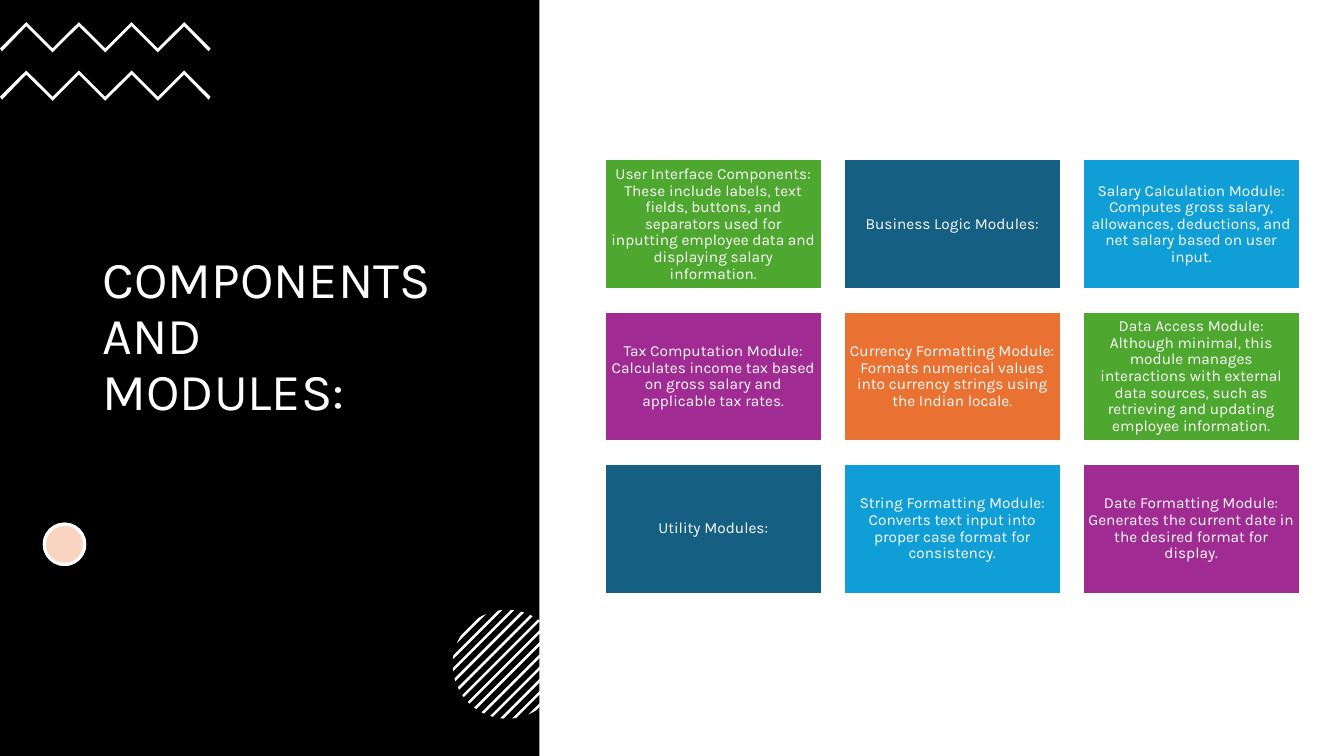
"""Build the components and modules slide."""
from math import acos, cos, pi, sin, sqrt

from lxml.etree import SubElement
from pptx import Presentation
from pptx.dml.color import RGBColor
from pptx.enum.shapes import MSO_SHAPE as SHAPE
from pptx.enum.text import MSO_ANCHOR as ANCHOR, PP_ALIGN as ALIGN
from pptx.oxml.ns import qn
from pptx.util import Inches, Pt

BLACK = RGBColor(0x00, 0x00, 0x00)
WHITE = RGBColor(0xFF, 0xFF, 0xFF)
GREEN = RGBColor(0x4E, 0xA7, 0x2E)
NAVY = RGBColor(0x15, 0x60, 0x82)
BLUE = RGBColor(0x0F, 0x9E, 0xD5)
PURPLE = RGBColor(0xA0, 0x2B, 0x93)
ORANGE = RGBColor(0xE9, 0x71, 0x32)
FONT = "Karla"

prs = Presentation()
prs.slide_width, prs.slide_height = Inches(13.33), Inches(7.5)
s = prs.slides.add_slide(prs.slide_layouts[6])


def add_block(kind, x, y, w, h, fill, line=None):
    sp = s.shapes.add_shape(kind, Inches(x), Inches(y), Inches(w), Inches(h))
    sp.shadow.inherit = False
    sp.fill.solid()
    sp.fill.fore_color.rgb = fill
    if line:
        sp.line.color.rgb = WHITE
        sp.line.width = Pt(line)
    else:
        sp.line.fill.background()
    return sp


def add_outline(points):
    pts = [(Inches(x), Inches(y)) for x, y in points]
    builder = s.shapes.build_freeform(*pts[0])
    builder.add_line_segments(pts[1:], close=True)
    sp = builder.convert_to_shape()
    sp.shadow.inherit = False
    sp.fill.solid()
    sp.fill.fore_color.rgb = WHITE
    sp.line.fill.background()


add_block(SHAPE.RECTANGLE, 0, 0, 5.35, 7.5, BLACK)

title = s.shapes.add_textbox(Inches(0.92), Inches(1.31), Inches(3.5), Inches(4.63))
tf = title.text_frame
tf.word_wrap = True
tf.vertical_anchor = ANCHOR.MIDDLE
tf.margin_bottom = Inches(0.6)
p = tf.paragraphs[0]
p.text = "COMPONENTS AND MODULES:"
p.line_spacing = 0.9
p.font.name, p.font.size = FONT, Pt(37)
p.font.color.rgb = WHITE

for top in (0.22, 0.7):
    upper = [(0.261 * i, top + (0 if i % 2 else 0.26)) for i in range(9)]
    lower = [(x, y + 0.04) for x, y in upper[7:0:-1]]
    add_outline(upper + [(2.07, top + 0.29)] + lower + [(0.02, top + 0.29)])

add_block(SHAPE.OVAL, 0.44, 5.2, 0.4, 0.4, WHITE, 2.25)
dot = add_block(SHAPE.OVAL, 0.44, 5.2, 0.4, 0.4, ORANGE, 2.25)
color = dot.fill._xPr.find(qn("a:solidFill"))[0]
SubElement(color, qn("a:alpha"), val="30000")

CX, CY, RADIUS = 5.03, 6.59, 0.54
for k in range(-6, 7):
    near, far = (acos((0.121 * k + e) / sqrt(2) / RADIUS) for e in (-0.018, 0.018))
    arc = [near + (far - near) * i / 4 for i in range(5)]
    angles = [pi / 4 + a for a in arc] + [pi / 4 - a for a in reversed(arc)]
    add_outline([(CX + RADIUS * cos(a), CY + RADIUS * sin(a)) for a in angles])

cards = [
    (GREEN, "User Interface Components: These include labels, text fields, buttons, "
            "and separators used for inputting employee data and displaying "
            "salary information."),
    (NAVY, "Business Logic Modules:"),
    (BLUE, "Salary Calculation Module: Computes gross salary, allowances, deductions, "
           "and net salary based on user input."),
    (PURPLE, "Tax Computation Module: Calculates income tax based on gross salary and "
             "applicable tax rates."),
    (ORANGE, "Currency Formatting Module: Formats numerical values into currency strings "
             "using the Indian locale."),
    (GREEN, "Data Access Module: Although minimal, this module manages interactions with "
            "external data sources, such as retrieving and updating employee information."),
    (NAVY, "Utility Modules:"),
    (BLUE, "String Formatting Module: Converts text input into proper case format "
           "for consistency."),
    (PURPLE, "Date Formatting Module: Generates the current date in the desired format for "
             "display."),
]
for i, (fill, text) in enumerate(cards):
    row, col = divmod(i, 3)
    sp = add_block(SHAPE.RECTANGLE, 6 + 2.37 * col, 1.58 + 1.51 * row, 2.15, 1.29, fill, 1.5)
    tf = sp.text_frame
    tf.word_wrap = True
    tf.vertical_anchor = ANCHOR.MIDDLE
    tf.margin_left = tf.margin_right = tf.margin_top = tf.margin_bottom = Inches(0.05)
    p = tf.paragraphs[0]
    p.text = text
    p.alignment = ALIGN.CENTER
    p.line_spacing = 0.9
    p.font.name, p.font.size = FONT, Pt(11)
    p.font.color.rgb = WHITE

prs.save("out.pptx")
